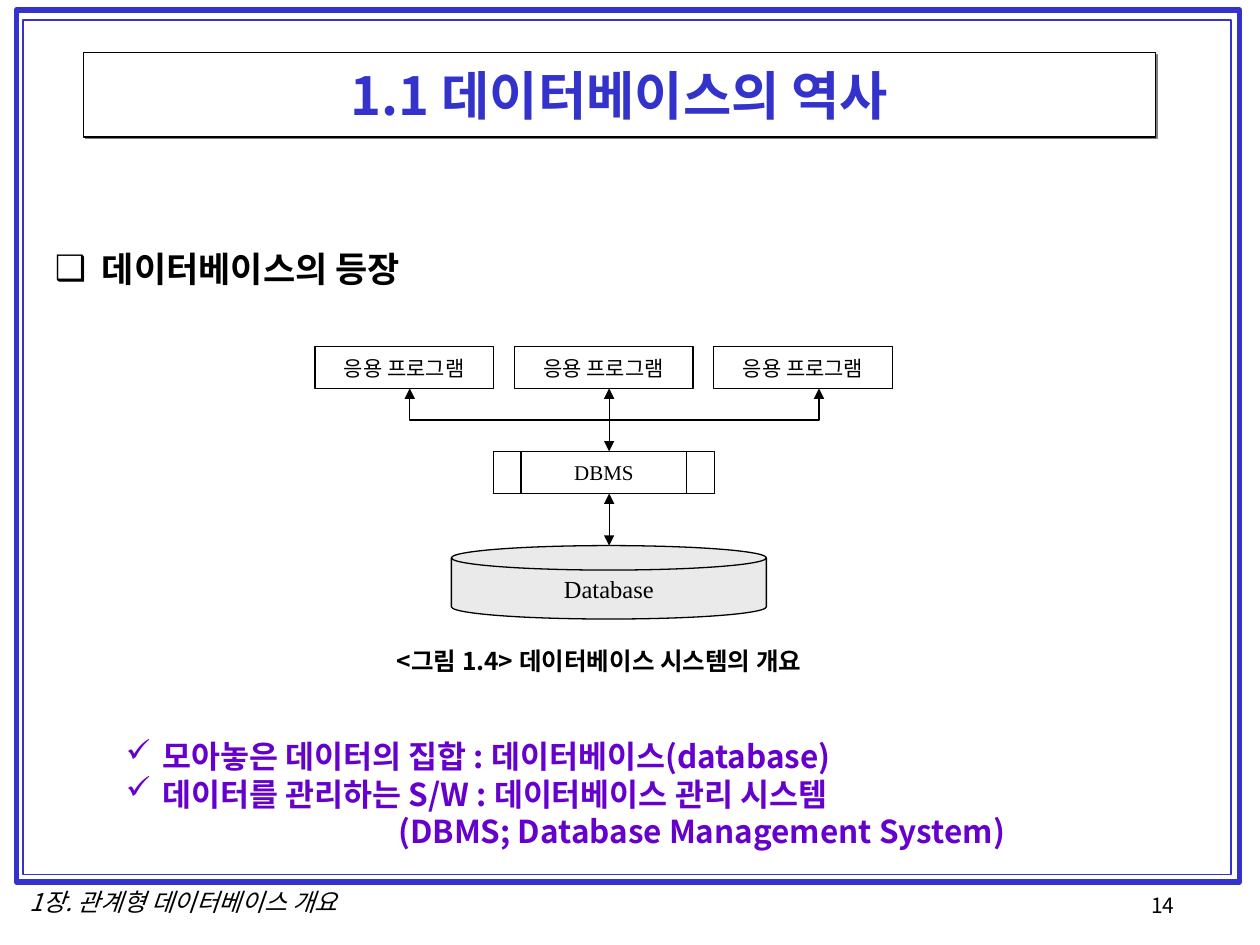
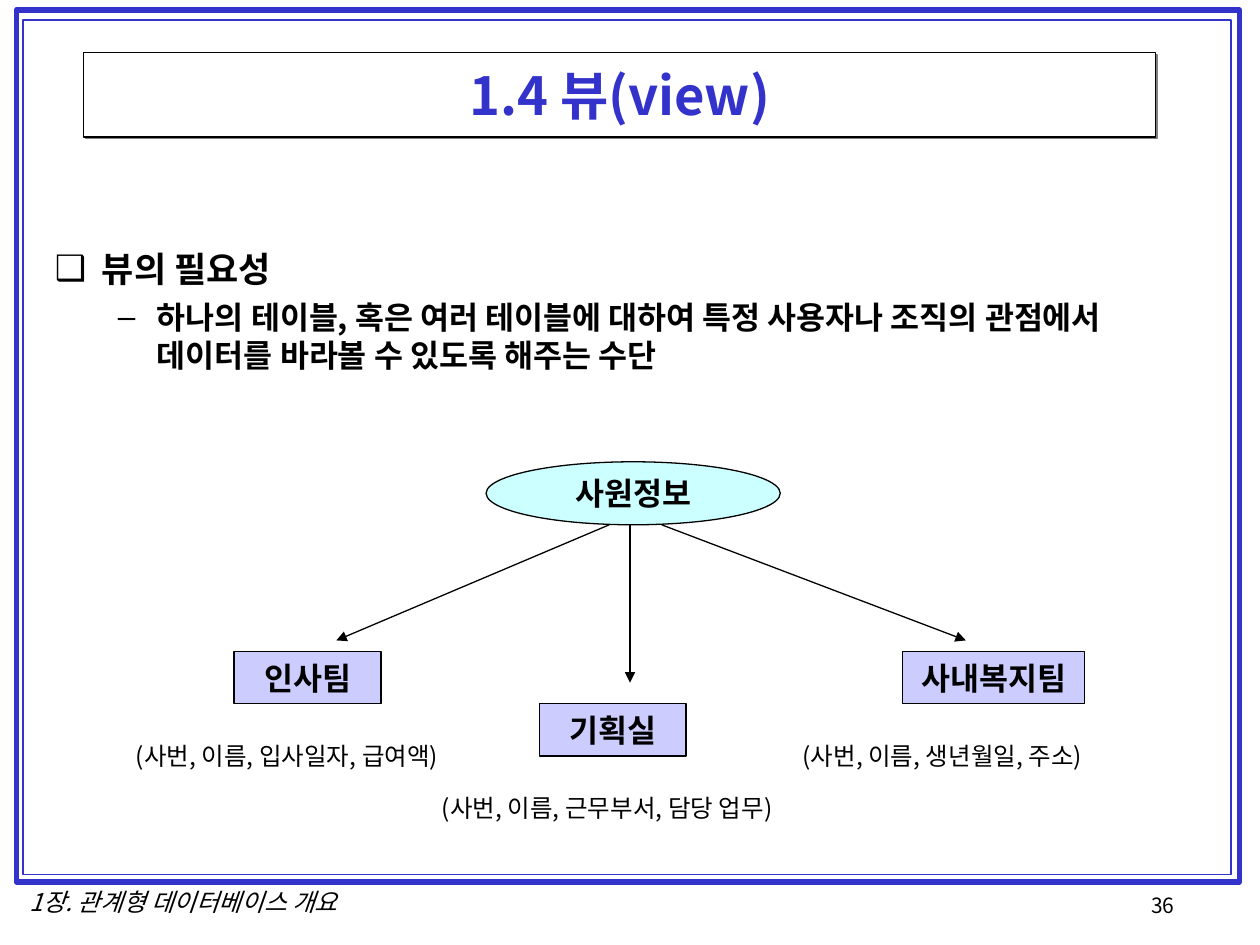
from lxml import etree
from pptx import Presentation
from pptx import util as u
from pptx.dml.color import RGBColor
from pptx.enum import shapes as s, text as t
from pptx.oxml.ns import qn

Cm, Pt = u.Cm, u.Pt
INK = {"blue": "3333CC", "black": "000000", "white": "FFFFFF", "gray": "808080",
       "disk": "EAEAEA", "purple": "6600CC", "aqua": "CCFFFF", "lilac": "CCCCFF"}
SANS, SERIF = "Noto Sans CJK KR", "Times New Roman"
KIND = s.MSO_SHAPE
MID, LEFT = t.PP_ALIGN.CENTER, t.PP_ALIGN.LEFT

FOOT = "1장. 관계형 데이터베이스 개요"
FRAMES = [((0.33, 0.2, 24.66, 17.58), 3), ((0.46, 0.41, 24.36, 17.22), 1)]
TITLE = (1.69, 1.06, 21.6, 1.7)
BODY = (0.85, 4.87, 23.7, 12.28)
# level: bullet, text size, space before, left margin, first-line indent
LEVELS = [("❑", 20, 5, 0.95, -0.95), ("–", 18, 4.5, 2.06, -0.79)]

HISTORY = {
    "title": "1.1 데이터베이스의 역사", "page": "14",
    "body": [(0, "데이터베이스의 등장")],
}
APPS = ["응용 프로그램"] * 3
FIGURE = "<그림 1.4> 데이터베이스 시스템의 개요"
# text, bullet, left margin, first-line indent
TERMS = [("모아놓은 데이터의 집합 : 데이터베이스(database)", "✓", 0.74, -0.74),
         ("데이터를 관리하는 S/W : 데이터베이스 관리 시스템", "✓", 0.74, -0.74),
         ("(DBMS; Database Management System)", None, 5.49, 0)]

VIEW = {
    "title": "1.4 뷰(view)", "page": "36",
    "body": [(0, "뷰의 필요성"),
             (1, "하나의 테이블, 혹은 여러 테이블에 대하여 특정 사용자나 조직의 "
                 "관점에서 데이터를 바라볼 수 있도록 해주는 수단")],
}
# team, box left, top, width, columns, their left, width, arrow start, arrow end
TEAMS = [
    ("인사팀", 4.72, 13.13, 2.96, "(사번, 이름, 입사일자, 급여액)", 2.49, 7.54, 12.28, 6.78),
    ("기획실", 10.87, 14.18, 2.96, "(사번, 이름, 근무부서, 담당 업무)", 8.66, 8.13, 12.7, 12.7),
    ("사내복지팀", 18.19, 13.13, 3.68, "(사번, 이름, 생년월일, 주소)", 15.93, 7.09, 13.34, 19.47),
]


def paint(name):
    return RGBColor.from_string(INK[name])


def add(node, tag, **attrs):
    return etree.SubElement(node, qn("a:" + tag), attrs)


def write(par, words, size=18, color="black", bold=False, italic=False, face=SANS,
          align=LEFT, before=0, bullet=None, left=0, first=0):
    par.alignment, par.space_before, par.space_after = align, Pt(before), Pt(0)
    run = par.add_run()
    run.text = words
    font = run.font
    font.size, font.bold, font.italic, font.name = Pt(size), bold, italic, face
    font.color.rgb = paint(color)
    add(run.font._element, "ea", typeface=SANS)
    props = par._p.get_or_add_pPr()
    props.set("marL", str(Cm(left)))
    props.set("indent", str(Cm(first)))
    if bullet:
        add(add(props, "buClr"), "srgbClr", val=INK[color])
        add(props, "buChar", char=bullet)
    else:
        add(props, "buNone")


def place(shape, spot):
    shape.left, shape.top, shape.width, shape.height = map(Cm, spot)


def edge(shape, color="black", width=0.75):
    shape.line.color.rgb = paint(color)
    shape.line.width = Pt(width)


def tip(shape, *ends):
    """Put a triangle on the named line ends."""
    line = shape._element.spPr.find(qn("a:ln"))
    for end in ends:
        add(line, end, type="triangle")


def box(slide, kind, spot, words="", fill=None, ink="black", width=0.75, **form):
    shape = slide.shapes.add_shape(kind, *map(Cm, spot))
    shape.shadow.inherit = False
    edge(shape, ink, width)
    if fill:
        shape.fill.solid()
        shape.fill.fore_color.rgb = paint(fill)
    else:
        shape.fill.background()
    if words:
        frame = shape.text_frame
        frame.word_wrap = False
        frame.vertical_anchor = t.MSO_ANCHOR.MIDDLE
        write(frame.paragraphs[0], words, align=MID, **form)


def label(slide, spot, words, wrap=False, **form):
    frame = slide.shapes.add_textbox(*map(Cm, spot)).text_frame
    frame.word_wrap = wrap
    write(frame.paragraphs[0], words, **form)
    return frame


def arrow(slide, start, stop, *ends):
    line = slide.shapes.add_connector(s.MSO_CONNECTOR.STRAIGHT, *map(Cm, start + stop))
    edge(line)
    tip(line, *ends)
    add(line._element.spPr, "effectLst")


def head(slide, words):
    title = slide.shapes.title
    place(title, TITLE)
    title.fill.solid()
    title.fill.fore_color.rgb = paint("white")
    edge(title)
    cast = add(add(title._element.spPr, "effectLst"), "outerShdw",
               dist=str(Pt(1.4)), dir="2700000", algn="ctr", rotWithShape="0")
    add(cast, "srgbClr", val=INK["gray"])
    frame = title.text_frame
    frame.auto_size = t.MSO_AUTO_SIZE.NONE
    frame.vertical_anchor = t.MSO_ANCHOR.MIDDLE
    write(frame.paragraphs[0], words, size=30, color="blue", bold=True, align=MID)


def fill_body(holder, rows):
    place(holder, BODY)
    frame = holder.text_frame
    frame.auto_size = t.MSO_AUTO_SIZE.NONE
    for i, (level, words) in enumerate(rows):
        par = frame.add_paragraph() if i else frame.paragraphs[0]
        par.level = level
        bullet, size, before, left, first = LEVELS[level]
        write(par, words, size=size, bold=True, before=before,
              bullet=bullet, left=left, first=first)


def start(deck, data):
    """Add a slide with the shared frames, footer, title and list."""
    slide = deck.slides.add_slide(deck.slide_layouts[1])
    label(slide, (22.96, 17.86, 2.59, 0.84), data["page"], size=12)
    label(slide, (0.13, 17.75, 7.14, 0.86), FOOT, size=14, italic=True, align=MID)
    for spot, width in FRAMES:
        box(slide, KIND.RECTANGLE, spot, ink="blue", width=width)
    head(slide, data["title"])
    fill_body(slide.placeholders[1], data["body"])
    return slide


def draw_history(deck):
    slide = start(deck, HISTORY)
    for i, app in enumerate(APPS):
        box(slide, KIND.RECTANGLE, (6.35 + 4.02 * i, 6.99, 3.6, 0.85), app,
            fill="white", size=12, face=SERIF)
    box(slide, KIND.FLOWCHART_PREDEFINED_PROCESS, (9.95, 9.1, 4.45, 0.85), "DBMS",
        size=12, face=SERIF)
    box(slide, KIND.FLOWCHART_MAGNETIC_DISK, (9.1, 11, 6.35, 1.48), "Database",
        fill="disk", size=14, face=SERIF)

    low, high, west, east = 8.47, 7.83, 8.26, 16.51
    pen = slide.shapes.build_freeform(Cm(west), Cm(high))
    pen.add_line_segments([(Cm(x), Cm(y)) for x, y in
                           [(west, low), (east, low), (east, high)]], close=False)
    bus = pen.convert_to_shape()
    bus.shadow.inherit = False
    bus.fill.background()
    edge(bus)
    tip(bus, "headEnd", "tailEnd")
    for top, base in [(9.95, 11), (high, 9.1)]:
        arrow(slide, (12.28, top), (12.28, base), "headEnd", "tailEnd")

    frame = label(slide, (2.29, 14.73, 20.78, 3.05), TERMS[0][0], wrap=True,
                  color="purple", bold=True, bullet=TERMS[0][1],
                  left=TERMS[0][2], first=TERMS[0][3])
    for words, bullet, left, first in TERMS[1:]:
        write(frame.add_paragraph(), words, color="purple", bold=True,
              bullet=bullet, left=left, first=first)
    label(slide, (7.75, 12.9, 9.04, 0.86), FIGURE, wrap=True, size=14, bold=True)


def draw_view(deck):
    slide = start(deck, VIEW)
    box(slide, KIND.OVAL, (9.8, 9.31, 5.93, 1.27), "사원정보", fill="aqua", bold=True)
    for team, left, top, width, cols, edge_x, span, tail, point in TEAMS:
        box(slide, KIND.RECTANGLE, (left, top, width, 1.06), team,
            fill="lilac", bold=True)
        label(slide, (edge_x, top + 1.69, span, 0.86), cols, size=14)
        gap = 0.42 if tail == point else 0.22
        arrow(slide, (tail, 10.58), (point, top - gap), "tailEnd")


def main():
    deck = Presentation()
    deck.slide_width, deck.slide_height = Cm(25.4), Cm(19.05)
    draw_history(deck)
    draw_view(deck)
    deck.save("out.pptx")


if __name__ == "__main__":
    main()
